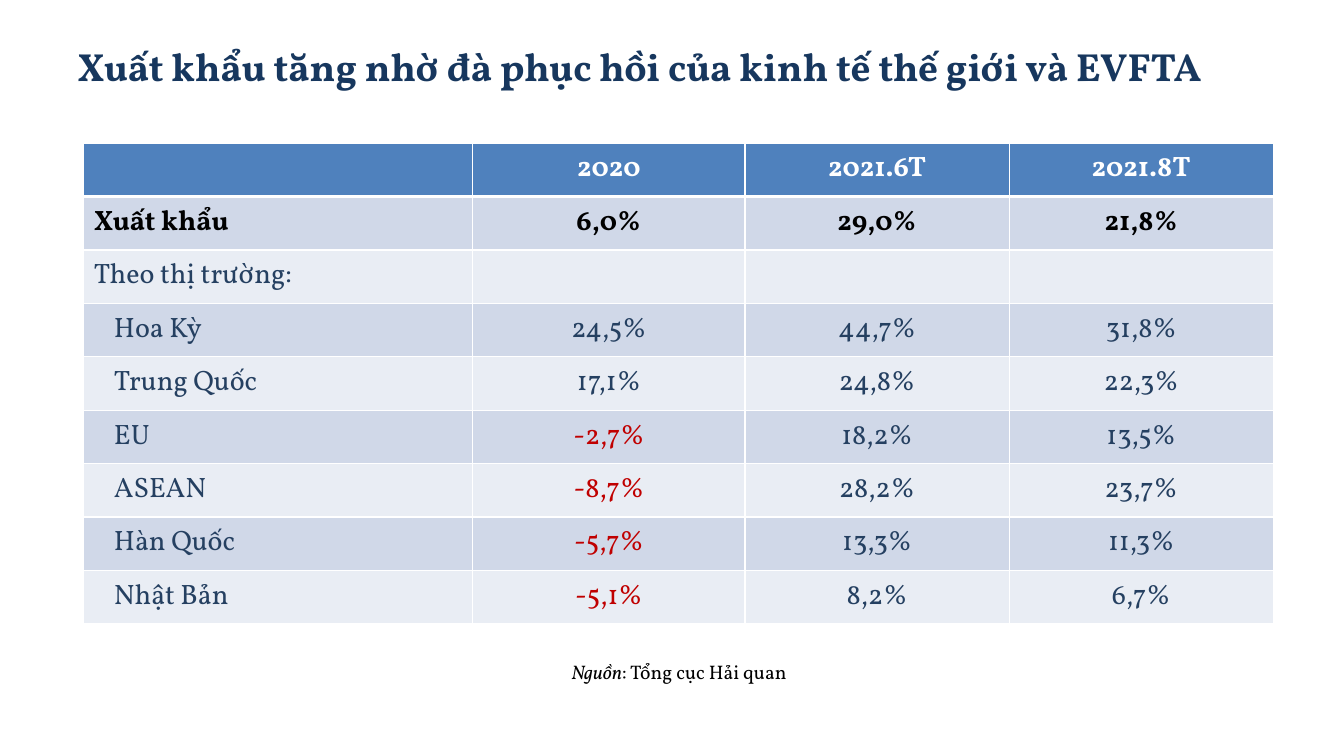
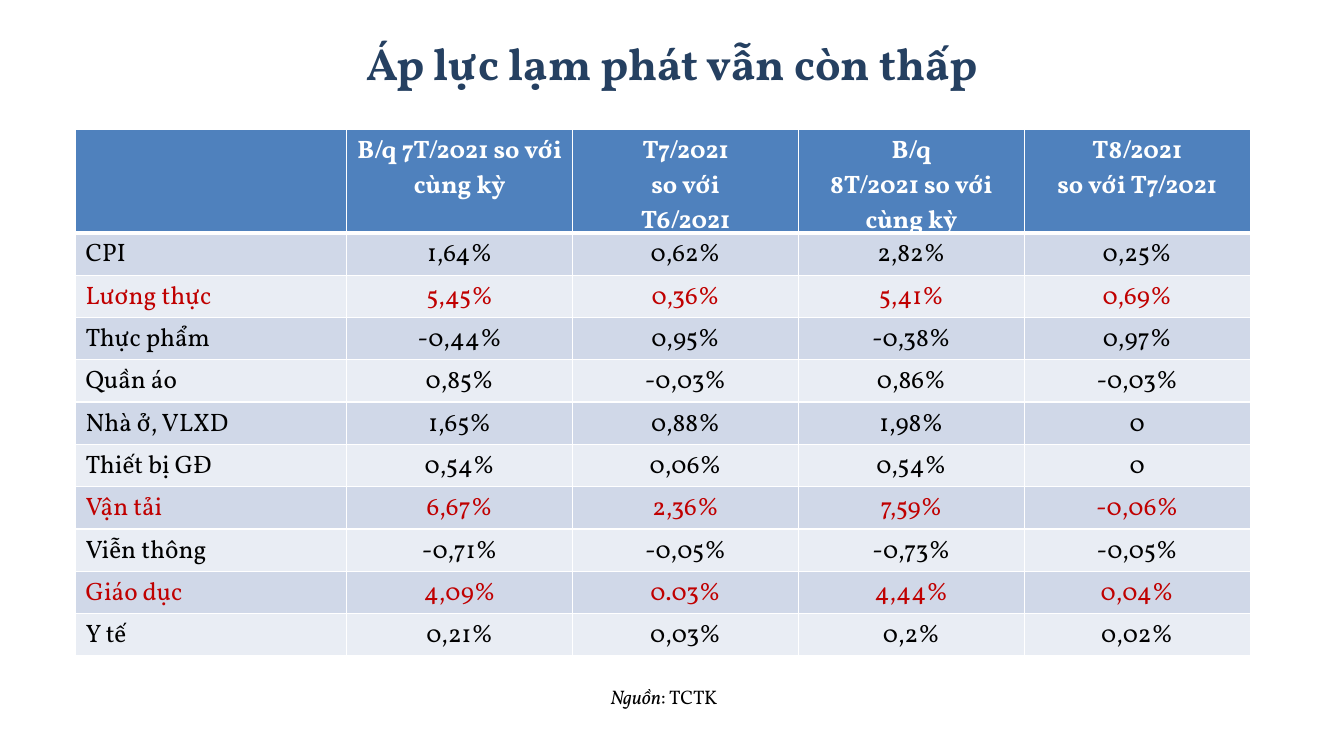
from pptx import Presentation
from pptx import util as u
from pptx.dml.color import RGBColor
from pptx.enum import text as t
from pptx.oxml import parse_xml
from pptx.oxml.ns import nsdecls

PX = 9144
FONT = "Vollkorn"
NAVY, SLATE, RED = "17375E", "254061", "C00000"
BLACK, WHITE, HEAD = "000000", "FFFFFF", "4F81BD"
BANDS = ["D0D8E8", "E9EDF4"]
LEFT, MID = t.PP_ALIGN.LEFT, t.PP_ALIGN.CENTER
TOP, CORE = t.MSO_ANCHOR.TOP, t.MSO_ANCHOR.MIDDLE

TRADE = [
    ["", "2020", "2021.6T", "2021.8T"],
    ["Xuất khẩu", "6,0%", "29,0%", "21,8%"],
    ["Theo thị trường:", "", "", ""],
    ["Hoa Kỳ", "24,5%", "44,7%", "31,8%"],
    ["Trung Quốc", "17,1%", "24,8%", "22,3%"],
    ["EU", "-2,7%", "18,2%", "13,5%"],
    ["ASEAN", "-8,7%", "28,2%", "23,7%"],
    ["Hàn Quốc", "-5,7%", "13,3%", "11,3%"],
    ["Nhật Bản", "-5,1%", "8,2%", "6,7%"],
]
PRICES = [
    ["", "B/q 7T/2021 so với cùng kỳ", "T7/2021\nso với\nT6/2021",
     "B/q\n8T/2021 so với cùng kỳ", "T8/2021\nso với T7/2021"],
    ["CPI", "1,64%", "0,62%", "2,82%", "0,25%"],
    ["Lương thực", "5,45%", "0,36%", "5,41%", "0,69%"],
    ["Thực phẩm", "-0,44%", "0,95%", "-0,38%", "0,97%"],
    ["Quần áo", "0,85%", "-0,03%", "0,86%", "-0,03%"],
    ["Nhà ở, VLXD", "1,65%", "0,88%", "1,98%", "0"],
    ["Thiết bị GĐ", "0,54%", "0,06%", "0,54%", "0"],
    ["Vận tải", "6,67%", "2,36%", "7,59%", "-0,06%"],
    ["Viễn thông", "-0,71%", "-0,05%", "-0,73%", "-0,05%"],
    ["Giáo dục", "4,09%", "0.03%", "4,44%", "0,04%"],
    ["Y tế", "0,21%", "0,03%", "0,2%", "0,02%"],
]
HOT = {"Lương thực", "Vận tải", "Giáo dục"}


def trade_ink(row, text):
    """Return the colour of a body cell in the export table."""
    if row[0] == "Xuất khẩu":
        return BLACK
    return RED if text.startswith("-") else SLATE


def price_ink(row, text):
    """Return the colour of a body cell in the price table."""
    return RED if row[0] in HOT else BLACK


SLIDES = [
    dict(title="Xuất khẩu tăng nhờ đà phục hồi của kinh tế thế giới và EVFTA",
         box=(67, 30, 1200, 70), look=dict(size=28, color=NAVY), align=LEFT,
         source="Tổng cục Hải quan", foot=(386, 650), rows=TRADE,
         at=(83, 142), cols=[386, 270, 262, 262], high=[53] * 9,
         size=20, anchor=CORE, ink=trade_ink, bold=(0, 1), indent=3),
    dict(title="Áp lực lạm phát vẫn còn thấp",
         box=(67, 33, 1200, 58), look=dict(size=32, color=SLATE), align=MID,
         source="TCTK", foot=(371, 675), rows=PRICES,
         at=(75, 128), cols=[269] + [224] * 4, high=[103] + [42] * 10,
         size=18, anchor=TOP, ink=price_ink, bold=(0,), indent=99),
]


def rgb(code):
    """Turn a hex string into a colour."""
    return RGBColor.from_string(code)


def style(font, size, color, **more):
    """Apply format values to a font."""
    font.color.rgb = rgb(color)
    for key, val in dict(name=FONT, size=u.Pt(size), **more).items():
        setattr(font, key, val)


def add_box(slide, box, align, anchor, runs):
    """Add one paragraph of (text, format) runs."""
    frame = slide.shapes.add_textbox(*(n * PX for n in box)).text_frame
    frame.word_wrap, frame.vertical_anchor = True, anchor
    para = frame.paragraphs[0]
    para.alignment = align
    for text, look in runs:
        run = para.add_run()
        run.text = text
        style(run.font, **look)


def edge(cell, row):
    """Draw white borders, thick below the header row."""
    wide = {"B": 3 if row == 0 else 1, "T": 3 if row == 1 else 1}
    props = cell._tc.get_or_add_tcPr()
    for spot, side in enumerate("LRTB"):
        props.insert(spot, parse_xml(
            f'<a:ln{side} {nsdecls("a")} w="{wide.get(side, 1) * 12700}">'
            f'<a:solidFill><a:srgbClr val="{WHITE}"/></a:solidFill></a:ln{side}>'))


def add_grid(slide, plan):
    """Add the table with its bands and borders."""
    rows, cols, high = plan["rows"], plan["cols"], plan["high"]
    box = (*plan["at"], sum(cols), sum(high))
    grid = slide.shapes.add_table(
        len(rows), len(cols), *(n * PX for n in box)).table
    for col, wide in zip(grid.columns, cols):
        col.width = wide * PX
    for r, row in enumerate(rows):
        grid.rows[r].height = high[r] * PX
        for c, text in enumerate(row):
            cell = grid.cell(r, c)
            cell.fill.solid()
            cell.fill.fore_color.rgb = rgb(BANDS[(r - 1) % 2] if r else HEAD)
            edge(cell, r)
            cell.vertical_anchor = plan["anchor"]
            if c == 0 and r >= plan["indent"]:
                cell.margin_left = 30 * PX
            cell.text = text
            for para in cell.text_frame.paragraphs:
                para.alignment = MID if c else LEFT
                for run in para.runs:
                    style(run.font, plan["size"],
                          plan["ink"](row, text) if r else WHITE,
                          bold=r in plan["bold"])


def main():
    """Build and save the slides."""
    deck = Presentation()
    deck.slide_width, deck.slide_height = u.Inches(13.33), u.Inches(7.5)
    note = dict(size=14, color=BLACK)
    for plan in SLIDES:
        slide = deck.slides.add_slide(deck.slide_layouts[6])
        add_box(slide, plan["box"], plan["align"], CORE,
                [(plan["title"], dict(plan["look"], bold=True))])
        add_box(slide, (*plan["foot"], 575, 34), MID, TOP,
                [("Nguồn", dict(note, italic=True)),
                 (": " + plan["source"], note)])
        add_grid(slide, plan)
    deck.save("out.pptx")


if __name__ == "__main__":
    main()
